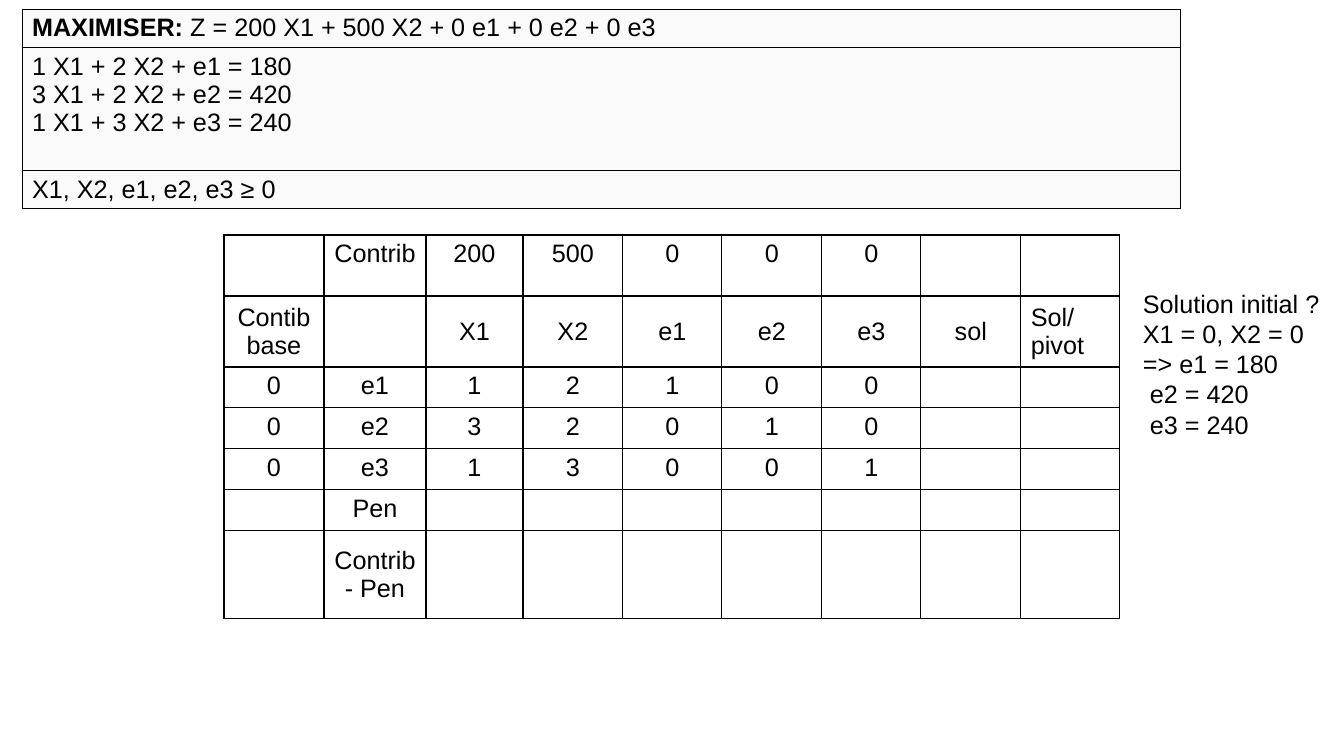
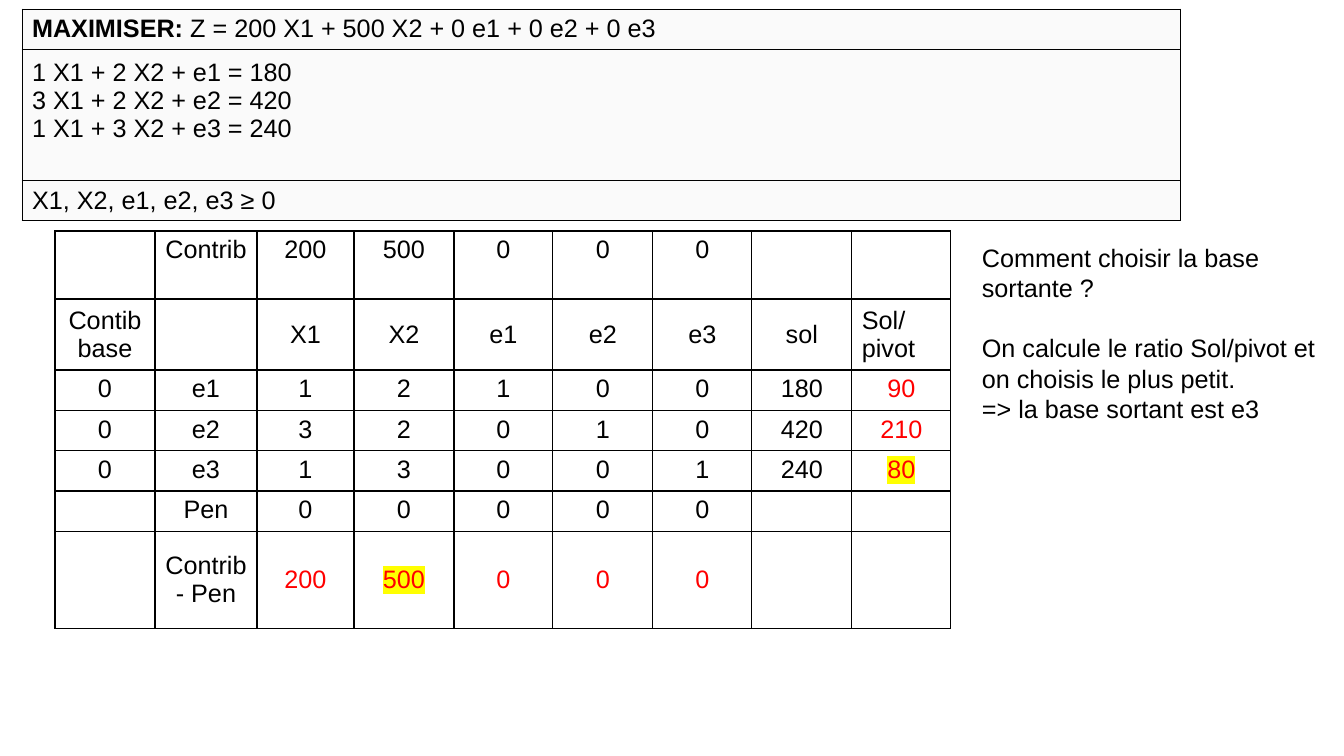
"""Build two slides that show the first simplex tableau and the choice of the leaving base."""
from pptx import Presentation
from pptx.dml.color import RGBColor
from pptx.enum.text import MSO_ANCHOR as ANCHOR, PP_ALIGN as ALIGN
from pptx.oxml.ns import qn
from pptx.util import Pt
from lxml.etree import SubElement

PX = 914400 / 100.8
BLACK = RGBColor(0x00, 0x00, 0x00)
RED = RGBColor(0xFF, 0x00, 0x00)
YELLOW = RGBColor(0xFF, 0xFF, 0x00)
PALE_GREY = RGBColor(0xFA, 0xFA, 0xFA)
LINE_HEIGHT = Pt(21.6)

OBJECTIVE = ("MAXIMISER: ", "Z = 200 X1 + 500 X2 + 0 e1 + 0 e2 + 0 e3")
CONSTRAINTS = "1 X1 + 2 X2 + e1 = 180\v3 X1 + 2 X2 + e2 = 420\v1 X1 + 3 X2 + e3 = 240"
POSITIVITY = "X1, X2, e1, e2, e3 ≥ 0"
TABLEAU_COLUMNS = [100, 102, 97] + [100, 99] * 3
TABLEAU = [
    ["", "Contrib", "200", "500", "0", "0", "0", "", ""],
    ["Contib base", "", "X1", "X2", "e1", "e2", "e3", "sol", "Sol/pivot"],
    ["0", "e1", "1", "2", "1", "0", "0", "", ""],
    ["0", "e2", "3", "2", "0", "1", "0", "", ""],
    ["0", "e3", "1", "3", "0", "0", "1", "", ""],
    ["", "Pen", "", "", "", "", "", "", ""],
    ["", "Contrib - Pen", "", "", "", "", "", "", ""],
]
FILLED_TABLEAU = (
    TABLEAU[:2]
    + [
        row[:7] + list(solution)
        for row, solution in zip(TABLEAU[2:5], [("180", "90"), ("420", "210"), ("240", "80")])
    ]
    + [
        ["", "Pen", "0", "0", "0", "0", "0", "", ""],
        ["", "Contrib - Pen", "200", "500", "0", "0", "0", "", ""],
    ]
)
CENTRED_ROWS = {1, 6}
PIVOT_CELLS = {(4, 8), (6, 3)}

SLIDES = [
    {
        "model_rows": [38, 123, 38],
        "tableau": TABLEAU,
        "tableau_at": (224, 235),
        "tableau_rows": [61, 71, 40, 40, 40, 40, 88],
        "note_box": (1133, 283, 204, 151),
        "note": ["Solution initial ?", "X1 = 0, X2 = 0", "=> e1 = 180", " e2 = 420", " e3 = 240"],
        "gap_before": None,
    },
    {
        "model_rows": [40, 131, 40],
        "tableau": FILLED_TABLEAU,
        "tableau_at": (55, 231),
        "tableau_rows": [68, 71, 40, 40, 40, 40, 97],
        "note_box": (972, 237, 364, 368),
        "note": [
            "Comment choisir la base sortante ?",
            "On calcule le ratio Sol/pivot et on choisis le plus petit.",
            "=> la base sortant est e3",
        ],
        "gap_before": 1,
    },
]


def format_runs(paragraph, color=BLACK, highlight=None):
    for run in paragraph.runs:
        run.font.size = Pt(18)
        run.font.name = "Arial"
        run.font.color.rgb = color
        if highlight is not None:
            properties = run.font._element
            marker = SubElement(properties, qn("a:highlight"))
            SubElement(marker, qn("a:srgbClr"), val=str(highlight))
            properties.find(qn("a:latin")).addprevious(marker)


def add_grid(slide, left, top, columns, rows, fill, line_width):
    frame = slide.shapes.add_table(
        len(rows), len(columns),
        *(round(length * PX) for length in (left, top, sum(columns), sum(rows))))
    table = frame.table
    table.first_row = False
    table.horz_banding = False
    for column, width in zip(table.columns, columns):
        column.width = round(width * PX)
    for row, height in zip(table.rows, rows):
        row.height = round(height * PX)
    for cell in table.iter_cells():
        properties = cell._tc.get_or_add_tcPr()
        for side in ("a:lnL", "a:lnR", "a:lnT", "a:lnB"):
            border = SubElement(properties, qn(side), w=str(Pt(line_width)))
            border_fill = SubElement(border, qn("a:solidFill"))
            SubElement(border_fill, qn("a:srgbClr"), val=str(BLACK))
        if fill is None:
            cell.fill.background()
        else:
            cell.fill.solid()
            cell.fill.fore_color.rgb = fill
    return table


presentation = Presentation()
presentation.slide_width = round(1344 * PX)
presentation.slide_height = round(756 * PX)

for content in SLIDES:
    slide = presentation.slides.add_slide(presentation.slide_layouts[6])

    model = add_grid(slide, 22, 9, [1159], content["model_rows"], PALE_GREY, 0.75)
    objective = model.cell(0, 0).text_frame.paragraphs[0]
    for text, bold in zip(OBJECTIVE, (True, False)):
        run = objective.add_run()
        run.text = text
        run.font.bold = bold
    model.cell(1, 0).text_frame.paragraphs[0].text = CONSTRAINTS
    model.cell(1, 0).margin_bottom = round(33 * PX)
    model.cell(2, 0).text_frame.text = POSITIVITY
    for cell in model.iter_cells():
        cell.vertical_anchor = ANCHOR.MIDDLE
        format_runs(cell.text_frame.paragraphs[0])

    tableau = add_grid(
        slide, *content["tableau_at"], TABLEAU_COLUMNS, content["tableau_rows"], None, 0.96)
    for row_index, row in enumerate(content["tableau"]):
        for column_index, text in enumerate(row):
            if not text:
                continue
            cell = tableau.cell(row_index, column_index)
            cell.text_frame.text = text
            if row_index in CENTRED_ROWS:
                cell.vertical_anchor = ANCHOR.MIDDLE
            paragraph = cell.text_frame.paragraphs[0]
            paragraph.alignment = ALIGN.LEFT if text == "Sol/pivot" else ALIGN.CENTER
            is_ratio = column_index == 8 and row_index > 1
            is_gain = row_index == 6 and column_index > 1
            format_runs(
                paragraph,
                RED if is_ratio or is_gain else BLACK,
                YELLOW if (row_index, column_index) in PIVOT_CELLS else None)

    note = slide.shapes.add_textbox(*(round(length * PX) for length in content["note_box"]))
    note.text_frame.word_wrap = True
    note.text_frame.text = "\n".join(content["note"])
    for index, paragraph in enumerate(note.text_frame.paragraphs):
        paragraph.line_spacing = LINE_HEIGHT
        if index == content["gap_before"]:
            paragraph.space_before = LINE_HEIGHT
        format_runs(paragraph)

presentation.save("out.pptx")
